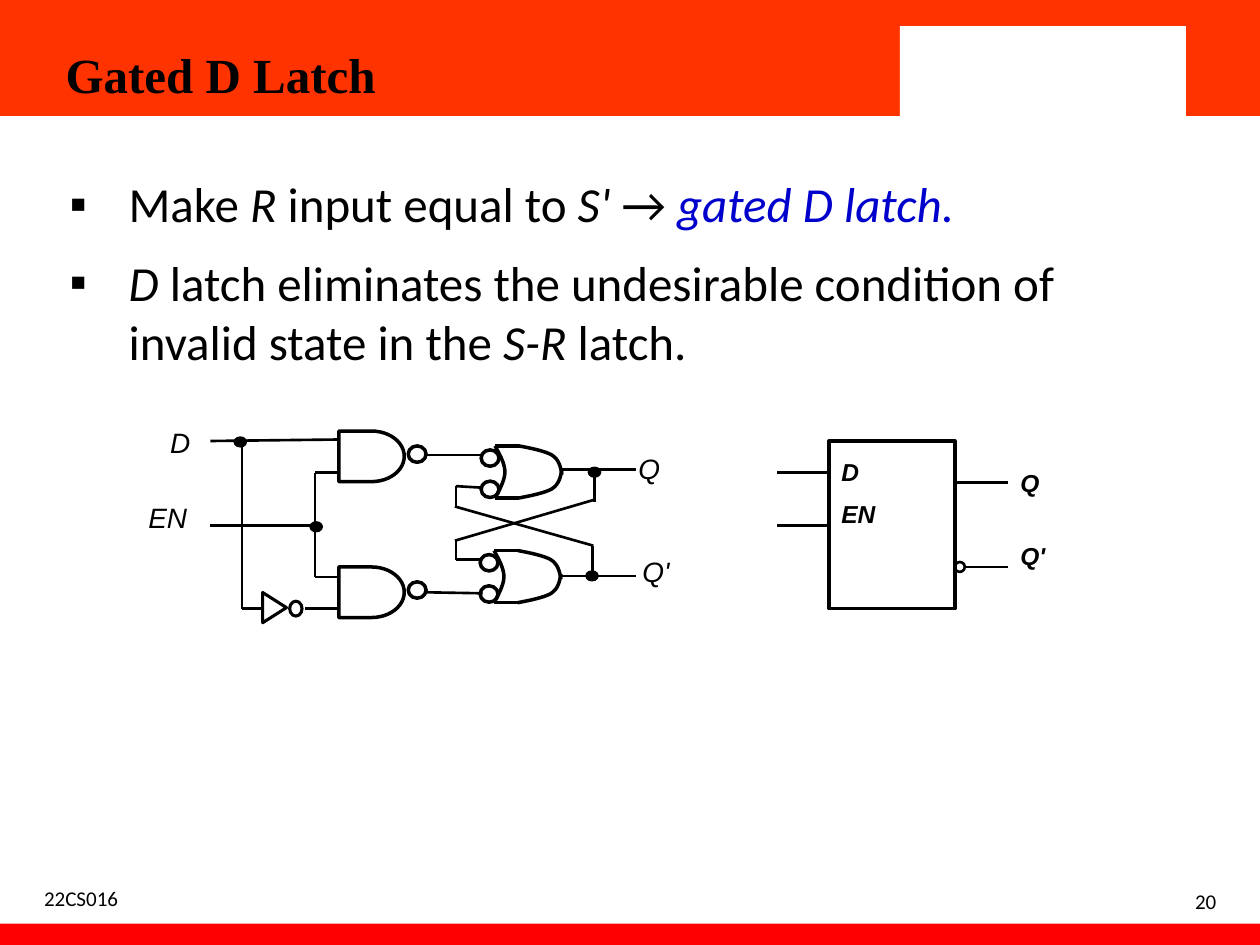
from lxml import etree
from pptx import Presentation
from pptx.dml.color import RGBColor
from pptx.enum.shapes import MSO_CONNECTOR, MSO_SHAPE
from pptx.enum.text import MSO_ANCHOR, MSO_AUTO_SIZE, PP_ALIGN
from pptx.oxml.ns import qn
from pptx.util import Cm, Pt

RECT, OVAL = MSO_SHAPE.RECTANGLE, MSO_SHAPE.OVAL
DELAY, WEDGE = MSO_SHAPE.FLOWCHART_DELAY, MSO_SHAPE.FLOWCHART_EXTRACT
LINE = MSO_CONNECTOR.STRAIGHT
TOP, MID = MSO_ANCHOR.TOP, MSO_ANCHOR.MIDDLE
LEFT, RIGHT = PP_ALIGN.LEFT, PP_ALIGN.RIGHT
FIXED = MSO_AUTO_SIZE.NONE
BLACK, BLUE, WHITE = "000000", "0000CC", "FFFFFF"
ORANGE, RED = "FF3300", "FF0000"
rgb = RGBColor.from_string


def style(part, width, fill=None):
    part.shadow.inherit = False
    if fill:
        part.fill.solid()
        part.fill.fore_color.rgb = rgb(fill)
    else:
        part.fill.background()
    if width:
        part.line.color.rgb = rgb(BLACK)
        part.line.width = Pt(width)
    else:
        part.line.fill.background()


def write(para, text, look, color=BLACK):
    run = para.add_run()
    run.text = text
    for name, value in look.items():
        setattr(run.font, name, value)
    run.font.color.rgb = rgb(color)


deck = Presentation()
deck.slide_width, deck.slide_height = Cm(25.4), Cm(19.05)
slide = deck.slides.add_slide(deck.slide_layouts[1])
shapes = slide.shapes
title, body = slide.placeholders
tree = title.element.getparent()

bars = [
    (0, 0, 25.4, 2.34, ORANGE),
    (0, 18.62, 25.4, 0.56, RED),
    (17.07, 0, 8.33, 2.34, ORANGE),
    (18.14, 0.53, 5.77, 1.9, WHITE),
]
for step, (*place, fill) in enumerate(bars):
    bar = shapes.add_shape(RECT, *map(Cm, place))
    style(bar, 0, fill)
    tree.insert(2 + step, bar.element)

holders = [
    (title, (1.07, 0.43, 21.59, 2.11), MID),
    (body, (1.07, 3.38, 21.39, 3.81), TOP),
]
for holder, place, anchor in holders:
    holder.left, holder.top, holder.width, holder.height = map(Cm, place)
    holder.text_frame.auto_size = FIXED
    holder.text_frame.vertical_anchor = anchor

head = title.text_frame.paragraphs[0]
head.alignment = LEFT
write(head, "Gated D Latch", {"name": "Times New Roman", "size": Pt(28), "bold": True})

points = [
    [("Make ", False, BLACK), ("R", True, BLACK), (" input equal to ", False, BLACK),
     ("S'", True, BLACK), (" → ", False, BLACK), ("gated D latch.", True, BLUE)],
    [("D", True, BLACK),
     (" latch eliminates the undesirable condition of invalid state in the ", False, BLACK),
     ("S-R", True, BLACK), (" latch.", False, BLACK)],
]
frame = body.text_frame
for step, runs in enumerate(points):
    para = frame.add_paragraph() if step else frame.paragraphs[0]
    para.space_before = Pt(11.2 if step else 0)
    props = para._p.get_or_add_pPr()
    props.set("marL", str(Cm(1.27)))
    props.set("indent", str(Cm(-1.19)))
    tint = etree.SubElement(props, qn("a:buClr"))
    etree.SubElement(tint, qn("a:srgbClr"), val=BLACK)
    etree.SubElement(props, qn("a:buFont"), typeface="Arial")
    etree.SubElement(props, qn("a:buChar"), char="▪")
    for text, slant, color in runs:
        write(para, text, {"name": "Calibri", "size": Pt(28), "italic": slant}, color)

wires = [
    (15.67, 9.53, 16.71, 9.53), (15.67, 10.59, 16.71, 10.59),
    (19.25, 9.73, 20.32, 9.73), (19.48, 11.43, 20.32, 11.43),
    (8.61, 9.17, 9.7, 9.17), (8.59, 11.94, 9.73, 11.96),
    (9.19, 9.8, 9.7, 9.83), (9.19, 11.28, 9.7, 11.28),
    (9.19, 9.8, 9.19, 10.24), (9.19, 10.87, 9.19, 11.28),
    (11.33, 9.47, 12.83, 9.47), (11.33, 11.61, 12.83, 11.61),
    (11.94, 11, 11.94, 11.63), (11.99, 9.5, 11.99, 10.11),
    (9.17, 10.21, 11.96, 11), (11.96, 10.08, 9.17, 10.9),
    (4.24, 8.89, 6.81, 8.86), (6.15, 12.27, 6.83, 12.27),
    (6.35, 9.53, 6.83, 9.53), (6.35, 11.63, 6.83, 11.63),
    (6.35, 9.53, 6.35, 11.63), (4.24, 10.59, 6.35, 10.59),
    (4.88, 8.89, 4.88, 12.27), (4.88, 12.27, 5.28, 12.27),
]
lines = [(wire, 1.5) for wire in wires]

back = [(0, 0), (0.1, 0.18), (0.2, 0.36), (0.2, 0.53), (0.2, 0.71), (0.05, 0.96), (0, 1.05)]
nose = [(0.48, 0), (0.74, 0.05), (0.99, 0.1), (1.14, 0.18), (1.3, 0.28), (1.32, 0.43), (1.35, 0.58)]
base = [(x, 1.05 - y) for x, y in nose]
for left, top in [(9.98, 8.99), (9.96, 11.1)]:
    for edge in (top, top + 1.05):
        lines.append(((left, edge, left + 0.48, edge), 2))
    for curve in (back, nose, base):
        dots = []
        for start in (0, 3):
            for step in range(9):
                t = step / 8
                mix = ((1 - t) ** 3, 3 * t * (1 - t) ** 2, 3 * t * t * (1 - t), t ** 3)
                part = list(zip(mix, curve[start:start + 4]))
                dots.append((Cm(left + sum(m * x for m, (x, y) in part)),
                             Cm(top + sum(m * y for m, (x, y) in part))))
        pen = shapes.build_freeform(*dots[0])
        pen.add_line_segments(dots[1:], close=False)
        style(pen.convert_to_shape(), 2)

for ends, width in lines:
    wire = shapes.add_connector(LINE, *map(Cm, ends))
    wire.line.color.rgb = rgb(BLACK)
    wire.line.width = Pt(width)
    etree.SubElement(wire.element.spPr, qn("a:effectLst"))

groups = [
    (RECT, 2.54, 3.38, 2, None, 0, [(16.71, 8.89)]),
    (OVAL, 0.2, 0.2, 1.5, None, 0, [(19.25, 11.33)]),
    (OVAL, 0.25, 0.2, 0.75, BLACK, 0,
     [(11.81, 11.51), (11.86, 9.42), (6.25, 10.52), (4.72, 8.81)]),
    (OVAL, 0.36, 0.33, 2, None, 0,
     [(9.7, 9.07), (9.7, 9.7), (9.68, 11.18), (9.68, 11.81), (8.23, 8.99), (8.23, 11.73)]),
    (DELAY, 1.32, 1.02, 2, None, 0, [(6.83, 8.69), (6.83, 11.43)]),
    (WEDGE, 0.61, 0.48, 1.75, None, 90, [(5.23, 12.01)]),
    (OVAL, 0.25, 0.3, 1.75, None, 0, [(5.84, 12.12)]),
]
for kind, wide, high, width, fill, turn, spots in groups:
    for left, top in spots:
        part = shapes.add_shape(kind, Cm(left), Cm(top), Cm(wide), Cm(high))
        part.rotation = turn
        style(part, width, fill)

sign = {"name": "Arial", "size": Pt(16), "italic": True}
pin = {"name": "Arial", "size": Pt(14), "bold": True, "italic": True}
foot = {"name": "Calibri", "size": Pt(12)}
labels = [
    ((3.18, 8.46, 1.22, 0.94), ["D"], 0, sign, TOP, LEFT),
    ((2.74, 9.96, 1.52, 0.94), ["EN"], 0, sign, TOP, LEFT),
    ((12.62, 8.97, 1.17, 0.94), ["Q"], 0, sign, TOP, LEFT),
    ((12.7, 11.05, 1.17, 0.94), ["Q'"], 0, sign, TOP, LEFT),
    ((16.71, 9.09, 1.47, 1.75), ["D", "EN"], 7, pin, TOP, LEFT),
    ((20.32, 9.32, 1.27, 2.41), ["Q", "Q'"], 24.5, pin, TOP, LEFT),
    ((0.64, 17.58, 5.92, 1.07), ["22CS016"], 0, foot, MID, LEFT),
    ((18.62, 17.65, 6.15, 1.02), ["20"], 0, foot, MID, RIGHT),
]
for place, texts, gap, look, anchor, align in labels:
    frame = shapes.add_textbox(*map(Cm, place)).text_frame
    frame.word_wrap = True
    frame.vertical_anchor = anchor
    for step, text in enumerate(texts):
        para = frame.add_paragraph() if step else frame.paragraphs[0]
        para.alignment = align
        para.space_before = Pt(gap if step else 0)
        write(para, text, look)

deck.save("out.pptx")
